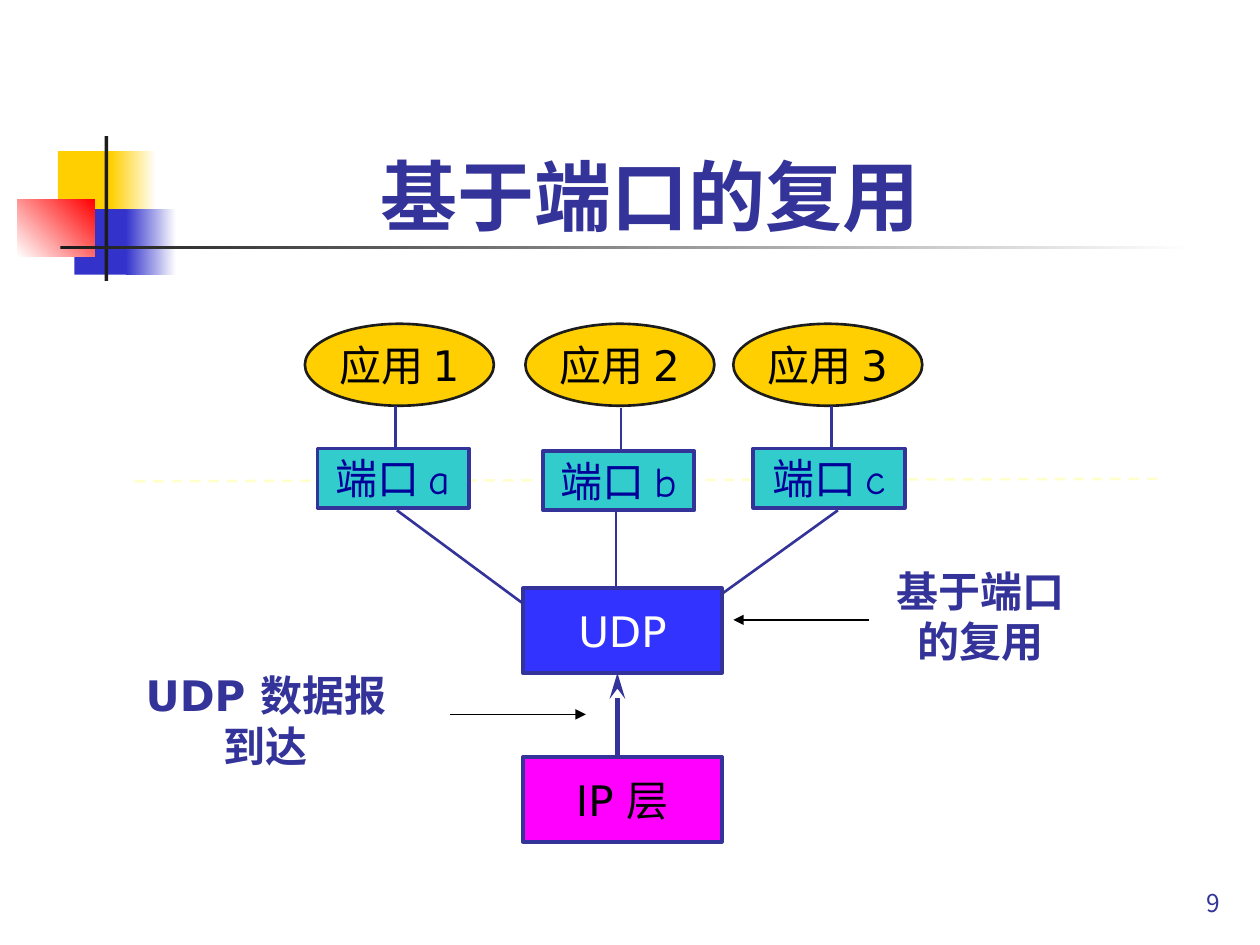
from dataclasses import dataclass
from typing import Optional

import pptx
import pptx.dml.color
import pptx.enum.dml
import pptx.enum.shapes
import pptx.enum.text
import pptx.oxml
import pptx.oxml.ns
import pptx.util
from pptx.util import Inches

COLOURS = {
    "gold": "FFCF01", "blue": "3333CC", "red": "FF0000", "white": "FFFFFF",
    "ink": "1C1C1C", "navy": "333399", "cream": "FFFFCC", "magenta": "FF00FF",
    "teal": "33CCCC", "port_text": "000099", "udp": "3333FF", "black": "000000",
}
CJK_FONT = "Noto Sans CJK JP"
LATIN_FONT = "DejaVu Sans"
SHAPE = pptx.enum.shapes.MSO_SHAPE
ALIGN = pptx.enum.text.PP_ALIGN
ANCHOR = pptx.enum.text.MSO_ANCHOR


@dataclass
class Box:
    left: float
    top: float
    width: float
    height: float
    fill: str
    fade_to: Optional[str] = None
    angle: float = 0
    outline: Optional[str] = None
    outline_pt: float = 2.25
    kind: int = SHAPE.RECTANGLE


@dataclass
class Link:
    start: tuple[float, float]
    end: tuple[float, float]
    colour: str = "navy"
    width: float = 1.5
    dashed: bool = False
    arrow: Optional[str] = None
    arrow_length: str = "med"


@dataclass
class Application:
    left: float
    number: int
    port: str
    port_left: float
    port_top: float
    udp_link: Link

    @property
    def stem_x(self) -> float:
        return self.port_left + 0.62


def rgb(name: str) -> pptx.dml.color.RGBColor:
    return pptx.dml.color.RGBColor.from_string(COLOURS[name])


def write(shape, text: str, *, colour: str, font: str = LATIN_FONT, size: float = 24,
          bold: bool = False, align=ALIGN.CENTER, anchor=ANCHOR.MIDDLE,
          wrap: bool = True, inset: Optional[float] = None) -> None:
    """Fill the shape with text, one paragraph for each line."""
    frame = shape.text_frame
    frame.text = text
    frame.word_wrap = wrap
    frame.vertical_anchor = anchor
    if inset is not None:
        frame.margin_left = frame.margin_right = Inches(inset)
        frame.margin_top = frame.margin_bottom = Inches(inset)
    for paragraph in frame.paragraphs:
        paragraph.alignment = align
        for run in paragraph.runs:
            run.font.name = font
            run.font.size = pptx.util.Pt(size)
            run.font.bold = bold
            run.font.color.rgb = rgb(colour)
            east_asian = pptx.oxml.parse_xml(
                f'<a:ea {pptx.oxml.ns.nsdecls("a")} typeface="{CJK_FONT}"/>')
            run.font._element.find(pptx.oxml.ns.qn("a:latin")).addnext(east_asian)


def draw_box(slide, box: Box):
    shape = slide.shapes.add_shape(box.kind, Inches(box.left), Inches(box.top),
                                   Inches(box.width), Inches(box.height))
    shape.shadow.inherit = False
    if box.fade_to:
        shape.fill.gradient()
        shape.fill.gradient_angle = box.angle
        for stop, colour in zip(shape.fill.gradient_stops, (box.fill, box.fade_to)):
            stop.color.rgb = rgb(colour)
    else:
        shape.fill.solid()
        shape.fill.fore_color.rgb = rgb(box.fill)
    if box.outline:
        shape.line.color.rgb = rgb(box.outline)
        shape.line.width = pptx.util.Pt(box.outline_pt)
    else:
        shape.line.fill.background()
    return shape


def draw_link(slide, link: Link) -> None:
    connector = slide.shapes.add_connector(
        pptx.enum.shapes.MSO_CONNECTOR.STRAIGHT,
        *(Inches(value) for value in link.start + link.end))
    line = connector.line
    line.color.rgb = rgb(link.colour)
    line.width = pptx.util.Pt(link.width)
    if link.dashed:
        line.dash_style = pptx.enum.dml.MSO_LINE.DASH
    namespace = pptx.oxml.ns.nsdecls("a")
    if link.arrow:
        line._get_or_add_ln().append(pptx.oxml.parse_xml(
            f'<a:tailEnd {namespace} type="{link.arrow}" w="med" len="{link.arrow_length}"/>'))
    connector._element.spPr.append(pptx.oxml.parse_xml(f"<a:effectLst {namespace}/>"))


def add_label(slide, left: float, top: float, width: float, height: float,
              text: str, **text_format) -> None:
    label = slide.shapes.add_textbox(Inches(left), Inches(top), Inches(width), Inches(height))
    write(label, text, **text_format)


ORNAMENTS = [
    Box(0.46, 1.2, 0.48, 0.52, "gold"),
    Box(0.88, 1.2, 0.36, 0.52, "gold", fade_to="white"),
    Box(0.59, 1.66, 0.46, 0.52, "blue"),
    Box(1, 1.66, 0.4, 0.52, "blue", fade_to="white"),
    Box(0.14, 1.58, 0.61, 0.46, "white", fade_to="red", angle=45),
    Box(0.83, 1.08, 0.03, 1.15, "ink"),
    Box(0.48, 1.95, 9, 0.03, "ink", fade_to="white"),
]
APPLICATIONS = [
    Application(2.42, 1, "a", 2.52, 3.56, Link((4.3, 4.9), (3.15, 4.05))),
    Application(4.17, 2, "b", 4.31, 3.58, Link((4.89, 4.9), (4.89, 4.03))),
    Application(5.82, 3, "c", 5.98, 3.56, Link((5.47, 4.9), (6.65, 4.05))),
]
PORT_LEVEL = Link((1.07, 3.82), (9.21, 3.8), "cream", dashed=True)
ARROWS = [
    Link((6.9, 4.92), (5.82, 4.92), "black", 0.75, arrow="triangle"),
    Link((4.9, 6), (4.9, 5.34), width=3, arrow="stealth", arrow_length="lg"),
    Link((3.57, 5.67), (4.65, 5.67), "black", 0.75, arrow="triangle"),
]


def draw_application(slide, app: Application) -> None:
    port = draw_box(slide, Box(app.port_left, app.port_top, 1.2, 0.47, "teal", outline="navy"))
    write(port, f"端口 {app.port}", colour="port_text", font="Comic Neue", wrap=False)
    oval = draw_box(slide, Box(app.left, 2.57, 1.5, 0.65, "gold", outline="ink",
                               outline_pt=1.5, kind=SHAPE.OVAL))
    write(oval, f"应用 {app.number}", colour="black", wrap=False, inset=0)
    stem_top = app.port_top - 0.34
    draw_link(slide, Link((app.stem_x, stem_top), (app.stem_x, stem_top + 0.33)))


def draw_layer(slide, top: float, fill: str, text: str, colour: str) -> None:
    layer = draw_box(slide, Box(4.15, top, 1.58, 0.67, fill, outline="navy"))
    write(layer, text, colour=colour, wrap=False)


def main() -> None:
    deck = pptx.Presentation()
    deck.slide_width, deck.slide_height = Inches(10), Inches(7.5)
    slide = deck.slides.add_slide(deck.slide_layouts[5])

    for ornament in ORNAMENTS:
        draw_box(slide, ornament)
    title = slide.shapes.title
    title.left, title.top = Inches(0.9), Inches(0.36)
    title.width, title.height = Inches(8.52), Inches(1.6)
    write(title, "基于端口的复用", colour="navy", font=CJK_FONT, size=44,
          bold=True, anchor=ANCHOR.BOTTOM)

    for link in [PORT_LEVEL, *(app.udp_link for app in APPLICATIONS), *ARROWS]:
        draw_link(slide, link)
    for app in APPLICATIONS:
        draw_application(slide, app)
    draw_layer(slide, 4.67, "udp", "UDP", "white")
    draw_layer(slide, 6.01, "magenta", "IP 层", "black")

    add_label(slide, 6.99, 4.51, 1.58, 0.75, "基于端口的复用", colour="navy", bold=True)
    add_label(slide, 0.9, 5.34, 2.42, 0.75, "UDP 数据报\n到达", colour="navy", bold=True)
    add_label(slide, 7.7, 6.83, 2.08, 0.5, "9", colour="navy", font=CJK_FONT, size=14,
              align=ALIGN.RIGHT, anchor=ANCHOR.BOTTOM)
    deck.save("out.pptx")


if __name__ == "__main__":
    main()
